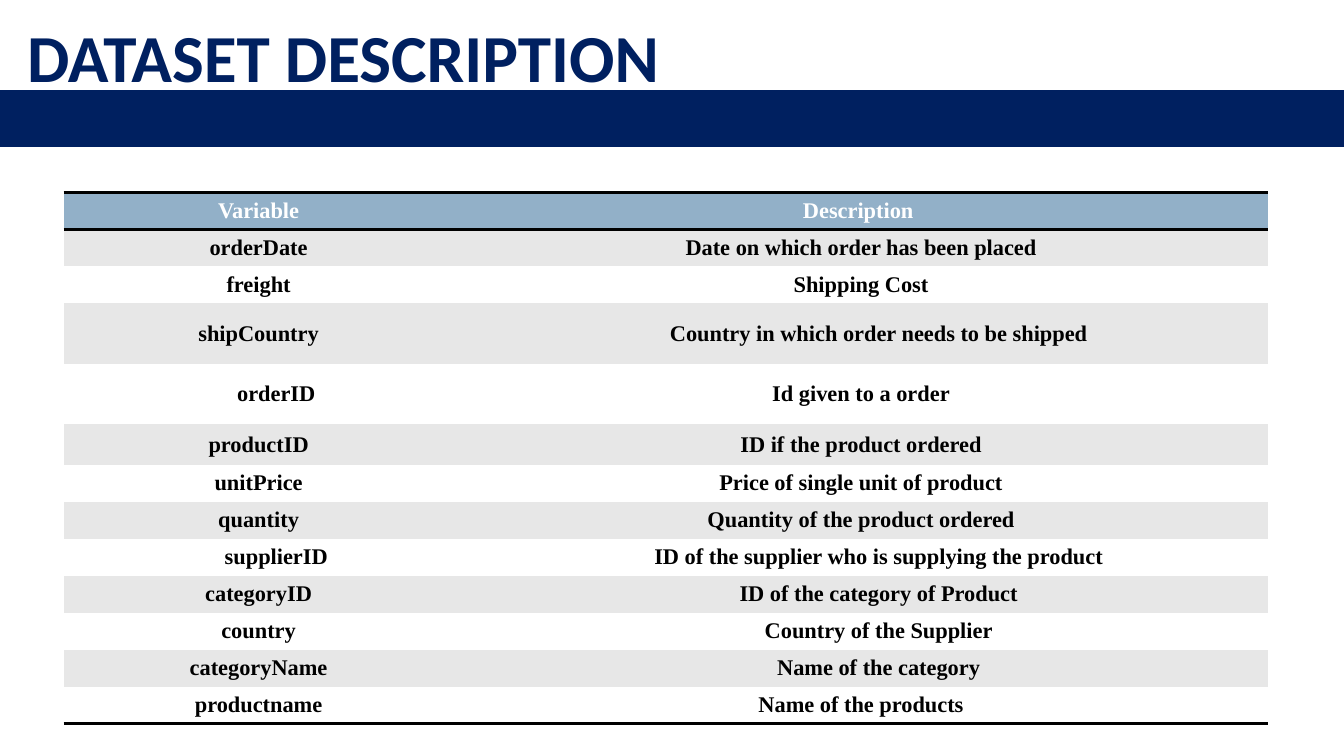
from dataclasses import dataclass
from lxml.etree import SubElement
from pptx import Presentation
from pptx.dml.color import RGBColor
from pptx.enum.shapes import MSO_SHAPE
from pptx.enum.text import MSO_ANCHOR, MSO_AUTO_SIZE, PP_ALIGN
from pptx.oxml.ns import qn
from pptx.util import Inches, Pt

TITLE = "DATASET DESCRIPTION"
ROWS = [
    ("Variable", "Description "),
    ("orderDate", "Date on which order has been placed"),
    ("freight", "Shipping Cost"),
    ("shipCountry", "Country in which order needs to be shipped"),
    ("orderID", "Id given to a order"),
    ("productID", "ID if the product ordered"),
    ("unitPrice", "Price of single unit of product"),
    ("quantity", "Quantity of the product ordered"),
    ("supplierID", "ID of the supplier who is supplying the product"),
    ("categoryID", "ID of the category of Product"),
    ("country", "Country of the Supplier"),
    ("categoryName", "Name of the category"),
    ("productname", "Name of the products"),
]
INDENTED = {(3, 1), (4, 0), (8, 0), (8, 1), (9, 1), (10, 1), (11, 1)}
TALL_ROWS = {3: 0.6, 4: 0.6, 5: 0.4}
COL_WIDTHS = (3.87, 8.08)
TABLE_LEFT, TABLE_TOP, TABLE_HEIGHT = 0.63, 1.91, 5.25
BORDERS = {0: ("a:lnT", "a:lnB"), len(ROWS) - 1: ("a:lnB",)}
NO_STYLE = "{2D5ABB26-0587-4C30-8999-92F81FD0307C}"


@dataclass(frozen=True)
class Theme:
    navy: str = "002060"
    header: str = "92B0C8"
    band: str = "E7E7E7"
    white: str = "FFFFFF"
    black: str = "000000"
    title_font: str = "Calibri"
    table_font: str = "Times New Roman"
    title_size: int = 48
    table_size: int = 16
    rule: int = 2


THEME = Theme()


def set_font(p, name, size, color):
    for r in p.runs:
        r.font.name = name
        r.font.size = Pt(size)
        r.font.bold = True
        r.font.color.rgb = RGBColor.from_string(color)


def add_title(s):
    title = s.shapes.title
    title.left, title.top = Inches(0.17), Inches(0.1)
    title.width, title.height = Inches(10.52), Inches(0.91)
    tf = title.text_frame
    tf.text = TITLE
    tf.word_wrap = True
    tf.auto_size = MSO_AUTO_SIZE.SHAPE_TO_FIT_TEXT
    tf.vertical_anchor = MSO_ANCHOR.TOP
    p = tf.paragraphs[0]
    p.alignment = PP_ALIGN.LEFT
    set_font(p, THEME.title_font, THEME.title_size, THEME.navy)


def add_bar(s, width):
    bar = s.shapes.add_shape(MSO_SHAPE.RECTANGLE, 0, Inches(0.9), width, Inches(0.55))
    bar.shadow.inherit = False
    bar.fill.solid()
    bar.fill.fore_color.rgb = RGBColor.from_string(THEME.navy)
    bar.line.color.rgb = RGBColor.from_string(THEME.navy)
    bar.line.width = Pt(1)


def add_borders(cell, sides):
    tcPr = cell._tc.get_or_add_tcPr()
    for i, side in enumerate(sides):
        ln = SubElement(tcPr, qn(side), w=str(Pt(THEME.rule)))
        fill = SubElement(ln, qn("a:solidFill"))
        SubElement(fill, qn("a:srgbClr"), val=THEME.black)
        tcPr.insert(i, ln)


def fill_cell(cell, row, col):
    is_header = row == 0
    fill = THEME.header if is_header else THEME.band if row % 2 else THEME.white
    cell.fill.solid()
    cell.fill.fore_color.rgb = RGBColor.from_string(fill)
    cell.vertical_anchor = MSO_ANCHOR.MIDDLE
    cell.text_frame.text = ROWS[row][col]
    p = cell.text_frame.paragraphs[0]
    p.alignment = PP_ALIGN.CENTER
    if (row, col) in INDENTED:
        p.level = 1
        pPr = p._p.get_or_add_pPr()
        pPr.set("marL", str(Inches(0.35)))
        pPr.set("indent", "0")
    color = THEME.white if is_header else THEME.black
    set_font(p, THEME.table_font, THEME.table_size, color)
    add_borders(cell, BORDERS.get(row, ()))


def add_variables(s):
    frame = s.shapes.add_table(
        len(ROWS), len(COL_WIDTHS), Inches(TABLE_LEFT), Inches(TABLE_TOP),
        Inches(sum(COL_WIDTHS)), Inches(TABLE_HEIGHT))
    for style in frame._element.iter(qn("a:tableStyleId")):
        style.text = NO_STYLE
    table = frame.table
    for column, width in zip(table.columns, COL_WIDTHS):
        column.width = Inches(width)
    plain = (TABLE_HEIGHT - sum(TALL_ROWS.values())) / (len(ROWS) - len(TALL_ROWS))
    for i, row in enumerate(table.rows):
        row.height = Inches(TALL_ROWS.get(i, plain))
        for j, cell in enumerate(row.cells):
            fill_cell(cell, i, j)


def main():
    prs = Presentation()
    prs.slide_width, prs.slide_height = Inches(13.33), Inches(7.5)
    s = prs.slides.add_slide(prs.slide_layouts[5])
    add_title(s)
    add_bar(s, prs.slide_width)
    add_variables(s)
    prs.save("out.pptx")


if __name__ == "__main__":
    main()
